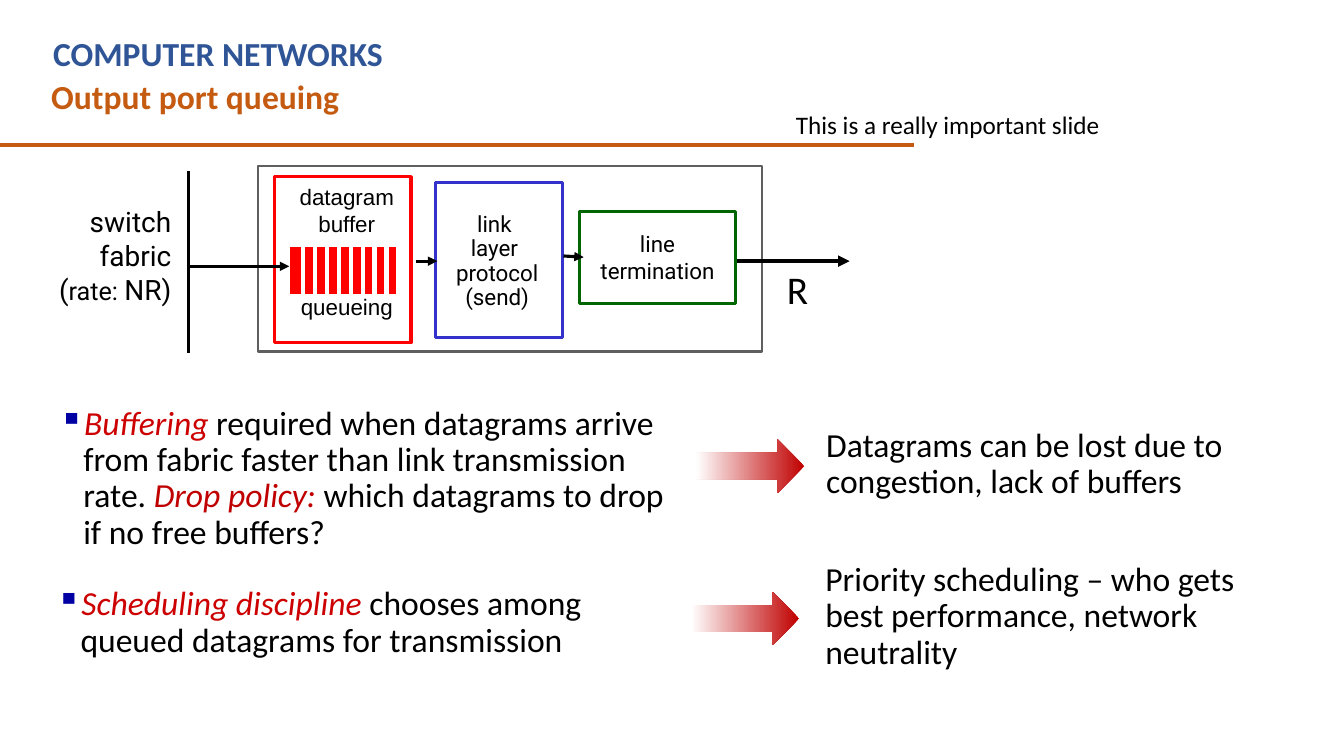
from lxml.etree import SubElement as Sub
from pptx import Presentation
from pptx.dml.color import RGBColor as Rgb
from pptx.enum.shapes import MSO_CONNECTOR as Link, MSO_SHAPE as Kind
from pptx.enum.text import MSO_ANCHOR as Anchor, PP_ALIGN as Align
from pptx.oxml.ns import qn
from pptx.util import Cm, Pt

HUES = {
    "black": "000000", "white": "FFFFFF", "blue": "2F5597",
    "orange": "C55A11", "mark": "0000A3", "term": "CC0000",
    "drop": "C00000", "gray": "5F5F5F", "green": "006600",
    "violet": "3333CC", "red": "FF0000",
}
BODY = {"name": "Calibri", "size": Pt(24)}
HEAD = {**BODY, "bold": True}
LABEL = {"name": "Roboto", "size": Pt(16)}
SWITCH = {"name": "Roboto", "size": Pt(20)}
QUEUE = {"name": "Arial", "size": Pt(16)}
NOTE = {"name": "Calibri", "size": Pt(18)}
RATE = {"name": "Calibri", "size": Pt(28)}
TIGHT = {"line_spacing": 0.9}
MID = {"alignment": Align.CENTER}


def hue(name):
    """Return the colour that belongs to a name."""
    return Rgb.from_string(HUES[name])


def put(item, form):
    """Set every attribute of a format on an item."""
    for key, val in form.items():
        setattr(item, key, val)


def write(shape, paras, font, form=None, color="black", wrap=True, anchor=Anchor.TOP):
    """Fill a shape with paragraphs of (text, color, changes) runs or plain text."""
    frame = shape.text_frame
    put(frame, {"word_wrap": wrap, "vertical_anchor": anchor})
    for num, runs in enumerate(paras):
        para = frame.add_paragraph() if num else frame.paragraphs[0]
        put(para, {"alignment": Align.LEFT, **(form or {})})
        if isinstance(runs, str):
            runs = [(runs, color, {})]
        for text, tint, change in runs:
            run = para.add_run()
            run.text = text
            put(run.font, {**font, **change})
            run.font.color.rgb = hue(tint)
    return shape


def area(slide, *place):
    """Add a text box at a place in centimetres."""
    return slide.shapes.add_textbox(*map(Cm, place))


def box(slide, *place, fill="white", edge=None, width=2.25, kind=Kind.RECTANGLE):
    """Add a filled shape with an optional edge."""
    shape = slide.shapes.add_shape(kind, *map(Cm, place))
    shape.shadow.inherit = False
    shape.fill.solid()
    shape.fill.fore_color.rgb = hue(fill)
    if edge:
        shape.line.color.rgb = hue(edge)
        shape.line.width = Pt(width)
    else:
        shape.line.fill.background()
    return shape


def line(slide, *ends, color="black", width=2.25, tip=False):
    """Add a straight line, with an arrowhead if asked."""
    wire = slide.shapes.add_connector(Link.STRAIGHT, *map(Cm, ends))
    wire.line.color.rgb = hue(color)
    wire.line.width = Pt(width)
    if tip:
        Sub(wire.line._ln, qn("a:tailEnd"), type="triangle")
    Sub(wire._element.spPr, qn("a:effectLst"))


def point(slide, place, runs):
    """Add a bulleted point."""
    shape = write(area(slide, *place), [runs], BODY, TIGHT)
    props = shape.text_frame.paragraphs[0]._p.get_or_add_pPr()
    props.set("marL", str(Cm(0.99)))
    props.set("indent", str(-Cm(0.61)))
    tint = Sub(props, qn("a:buClr"))
    Sub(tint, qn("a:srgbClr"), val=HUES["mark"])
    Sub(props, qn("a:buChar"), char="▪")


def result(slide, place, text, left, top):
    """Add a consequence and the fading arrow that leads to it."""
    write(box(slide, *place), [text], BODY, TIGHT)
    arrow = box(slide, left, top, 2.72, 1.35, kind=Kind.RIGHT_ARROW)
    arrow.fill.gradient()
    arrow.fill.gradient_angle = 180
    for stop, tint in zip(arrow.fill.gradient_stops, ("drop", "white")):
        stop.color.rgb = hue(tint)


def port(slide):
    """Draw the output port from switch fabric to line."""
    box(slide, 6.5, 4.19, 12.7, 4.67, edge="gray", width=1.5)
    mid = {"form": MID, "wrap": False, "anchor": Anchor.MIDDLE}
    write(box(slide, 14.6, 5.33, 3.94, 2.31, edge="green"),
          ["line", "termination"], LABEL, **mid)
    box(slide, 10.97, 4.6, 3.2, 3.91, edge="violet")
    line(slide, 10.49, 6.58, 11.02, 6.58, tip=True)
    line(slide, 14.2, 6.45, 14.71, 6.48, tip=True)
    write(box(slide, 11.07, 5.44, 2.92, 2.31),
          ["link ", "layer ", "protocol", "(send)"], LABEL,
          **{**mid, "form": {**MID, **TIGHT}})
    rate = [("(", "black", {}), ("rate: ", "black", {"size": Pt(18)}),
            ("NR)", "black", {})]
    write(box(slide, 1.65, 5.28, 2.92, 2.31), ["switch", "fabric", rate],
          SWITCH, **{**mid, "form": {"alignment": Align.RIGHT}})
    box(slide, 6.91, 4.45, 3.45, 4.19, edge="red")
    text = write(area(slide, 7.14, 4.5, 3.2, 4.06),
                 ["datagram", "buffer", "queueing"], QUEUE, MID, wrap=False)
    text.text_frame.paragraphs[2].space_before = Pt(40)
    box(slide, 7.26, 6.17, 2.77, 1.3, fill="red", edge="white", width=3)
    for num in range(8):
        left = 7.64 + 0.3 * num
        line(slide, left, 6.2, left, 7.44, color="white", width=3)
    line(slide, 4.75, 4.32, 4.75, 8.89)
    line(slide, 4.7, 6.71, 7.29, 6.71, tip=True)
    line(slide, 18.57, 6.58, 21.41, 6.58, width=2.75, tip=True)
    write(area(slide, 19.58, 6.55, 0.89, 1.45), ["R"], RATE)


def main():
    """Build and save the slide."""
    deck = Presentation()
    put(deck, {"slide_width": Cm(33.87), "slide_height": Cm(19.05)})
    slide = deck.slides.add_slide(deck.slide_layouts[6])
    line(slide, 0, 3.66, 23.04, 3.66, color="orange", width=3)
    write(area(slide, 1.09, 0.71, 20.83, 1.27), ["COMPUTER NETWORKS"], HEAD, color="blue")
    write(area(slide, 1.04, 1.8, 22.23, 1.27), ["Output port queuing"], HEAD, color="orange")
    slant = {"italic": True}
    point(slide, (0.86, 10.11, 16.61, 3.94), [
        ("Buffering", "term", slant),
        (" required when datagrams arrive from fabric faster than link "
         "transmission rate. ", "black", {}),
        ("Drop policy: ", "drop", slant),
        ("which datagrams to drop if no free buffers?", "black", {})])
    point(slide, (0.79, 14.66, 14.25, 3.58), [
        ("Scheduling discipline", "term", slant),
        (" chooses among queued datagrams for transmission", "black", {})])
    result(slide, (20.57, 10.67, 10.97, 2.11),
           "Datagrams can be lost due to congestion, lack of buffers", 17.55, 11.07)
    result(slide, (20.55, 14.05, 11.63, 3.02),
           "Priority scheduling – who gets best performance, network neutrality",
           17.42, 14.91)
    write(area(slide, 19.81, 2.62, 8.26, 1.02),
          ["This is a really important slide"], NOTE, wrap=False)
    port(slide)
    deck.save("out.pptx")


if __name__ == "__main__":
    main()
